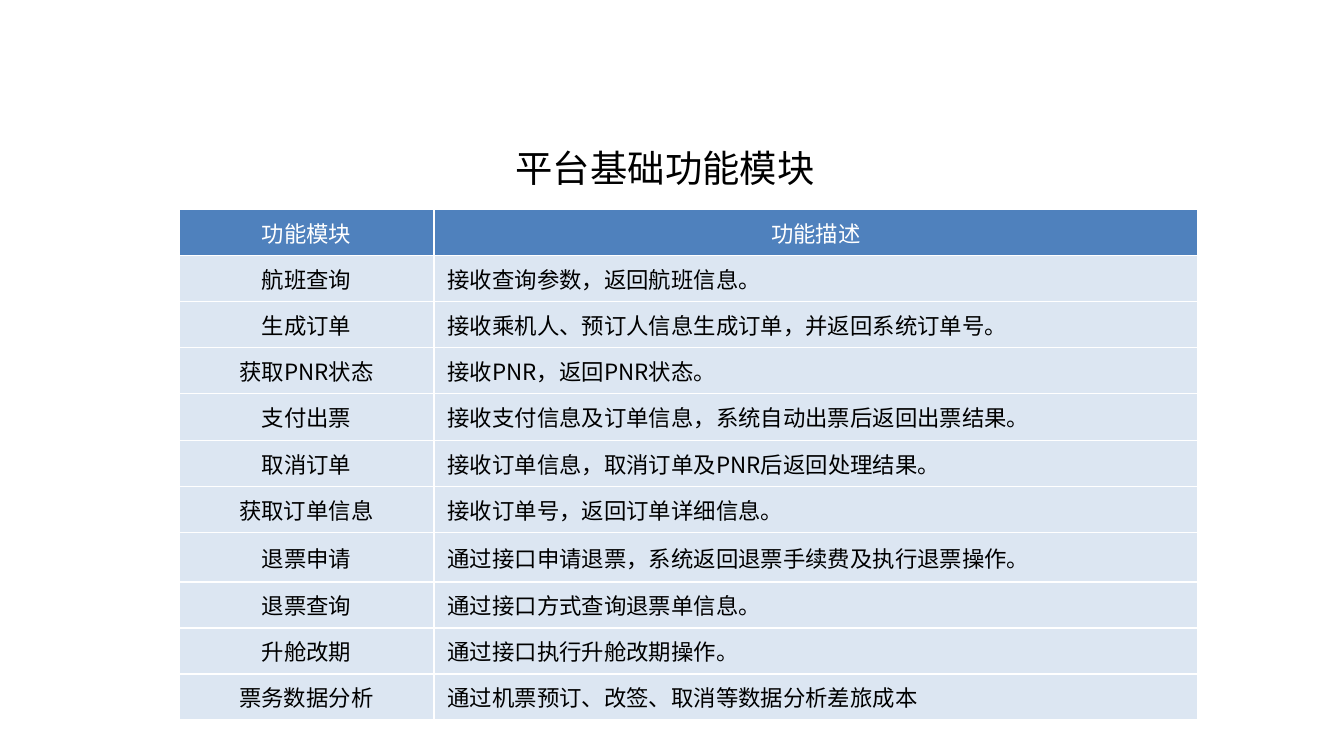
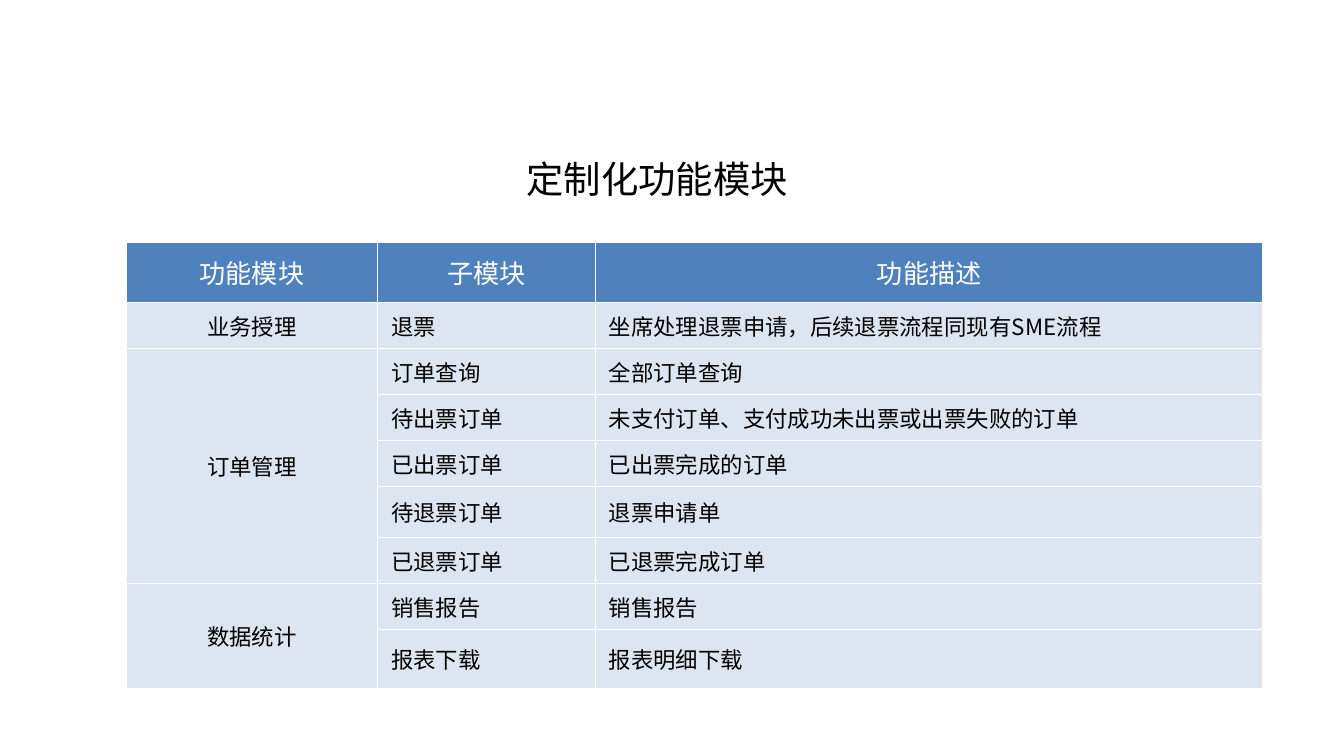
import pptx
import pptx.dml.color
import pptx.enum.text
import pptx.oxml.ns
import pptx.util
from lxml import etree

FONT = "Noto Sans CJK SC"
INK = "000000"
PAPER = "FFFFFF"
HEADER_BLUE = "4F81BD"
BODY_BLUE = "DCE6F2"
TITLE_SIZE = 20
BODY_SIZE = 12
SLIDE_WIDTH = 10
SLIDE_HEIGHT = SLIDE_WIDTH * 9 / 16
TITLE_WIDTH = 0.9 * SLIDE_WIDTH
TITLE_HEIGHT = 1.25
ROW = 0.31

CENTER = pptx.enum.text.PP_ALIGN.CENTER
LEFT = pptx.enum.text.PP_ALIGN.LEFT
MIDDLE = pptx.enum.text.MSO_ANCHOR.MIDDLE

BASIC_MODULES = [
    ("功能模块", "功能描述"),
    ("航班查询", "接收查询参数，返回航班信息。"),
    ("生成订单", "接收乘机人、预订人信息生成订单，并返回系统订单号。"),
    ("获取PNR状态", "接收PNR，返回PNR状态。"),
    ("支付出票", "接收支付信息及订单信息，系统自动出票后返回出票结果。"),
    ("取消订单", "接收订单信息，取消订单及PNR后返回处理结果。"),
    ("获取订单信息", "接收订单号，返回订单详细信息。"),
    ("退票申请", "通过接口申请退票，系统返回退票手续费及执行退票操作。"),
    ("退票查询", "通过接口方式查询退票单信息。"),
    ("升舱改期", "通过接口执行升舱改期操作。"),
    ("票务数据分析", "通过机票预订、改签、取消等数据分析差旅成本"),
]

CUSTOM_MODULES = [
    ("功能模块", "子模块", "功能描述"),
    ("业务授理", "退票", "坐席处理退票申请，后续退票流程同现有SME流程"),
    ("订单管理", "订单查询", "全部订单查询"),
    (None, "待出票订单", "未支付订单、支付成功未出票或出票失败的订单"),
    (None, "已出票订单", "已出票完成的订单"),
    (None, "待退票订单", "退票申请单"),
    (None, "已退票订单", "已退票完成订单"),
    ("数据统计", "销售报告", "销售报告"),
    (None, "报表下载", "报表明细下载"),
]


def rgb(value):
    return pptx.dml.color.RGBColor.from_string(value)


def inches(*lengths):
    return [pptx.util.Inches(length) for length in lengths]


def style_paragraph(paragraph, size, color, alignment):
    paragraph.alignment = alignment
    font = paragraph.font
    font.size = pptx.util.Pt(size)
    font.bold = False
    font.color.rgb = rgb(color)
    font.name = FONT
    qn = pptx.oxml.ns.qn
    defaults = paragraph._p.pPr.find(qn("a:defRPr"))
    etree.SubElement(defaults, qn("a:ea"), typeface=FONT)


def add_titled_slide(deck, heading, left, top):
    slide = deck.slides.add_slide(deck.slide_layouts[5])
    title = slide.shapes.title
    title.left, title.top, title.width, title.height = inches(
        left, top, TITLE_WIDTH, TITLE_HEIGHT)
    title.text_frame.text = heading
    title.text_frame.vertical_anchor = MIDDLE
    style_paragraph(title.text_frame.paragraphs[0], TITLE_SIZE, INK, CENTER)
    return slide


def fill_cell(cell, wording, is_header, is_module, header_size):
    cell.fill.solid()
    cell.fill.fore_color.rgb = rgb(HEADER_BLUE if is_header else BODY_BLUE)
    cell.vertical_anchor = MIDDLE
    if wording is None:
        return
    cell.text = wording
    style_paragraph(
        cell.text_frame.paragraphs[0],
        header_size if is_header else BODY_SIZE,
        PAPER if is_header else INK,
        CENTER if is_header or is_module else LEFT)


def merge_modules(table, modules):
    starts = [i for i, entry in enumerate(modules) if entry[0] is not None]
    for start, following in zip(starts, starts[1:] + [len(modules)]):
        if following - start > 1:
            table.cell(start, 0).merge(table.cell(following - 1, 0))


def add_module_table(slide, modules, left, top, widths, special_heights,
                     header_size):
    heights = [special_heights.get(i, ROW) for i in range(len(modules))]
    table = slide.shapes.add_table(
        len(modules), len(widths),
        *inches(left, top, sum(widths), sum(heights))).table
    for column, width in zip(table.columns, inches(*widths)):
        column.width = width
    for row, height in zip(table.rows, inches(*heights)):
        row.height = height
    for row_index, entry in enumerate(modules):
        for column_index, wording in enumerate(entry):
            fill_cell(table.cell(row_index, column_index), wording,
                      row_index == 0, column_index == 0, header_size)
    merge_modules(table, modules)


def main():
    deck = pptx.Presentation()
    deck.slide_width, deck.slide_height = inches(SLIDE_WIDTH, SLIDE_HEIGHT)

    basic = add_titled_slide(deck, "平台基础功能模块", 0.45, 0.62)
    add_module_table(basic, BASIC_MODULES, 1.33, 1.56, [1.9, 5.68],
                     {0: 0.29, 2: 0.33, 4: 0.35, 7: 0.37}, 12)

    custom = add_titled_slide(deck, "定制化功能模块", 0.39, 0.7)
    add_module_table(custom, CUSTOM_MODULES, 0.94, 1.8, [1.87, 1.62, 4.97],
                     {0: 0.45, 5: 0.38, 8: 0.44}, 14)

    deck.save("out.pptx")


main()
